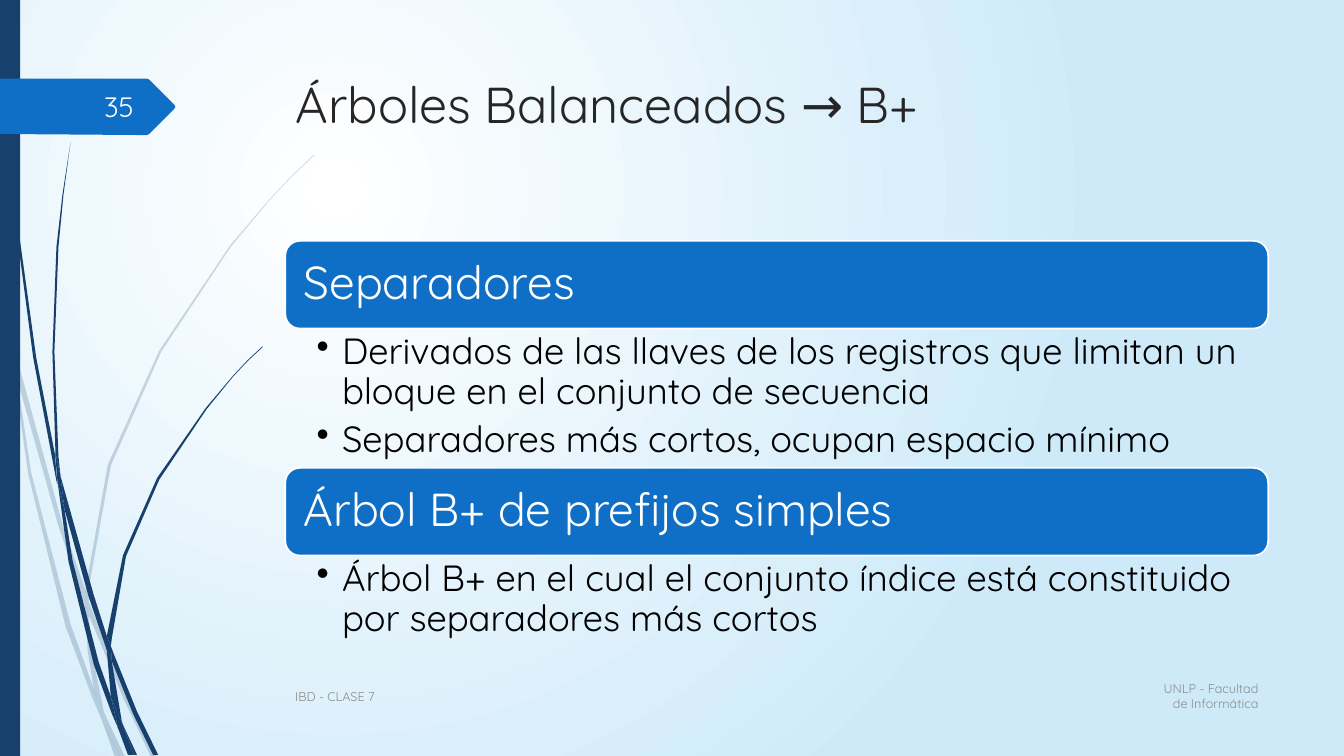
from dataclasses import dataclass

from pptx import Presentation
from pptx.dml.color import RGBColor
from pptx.enum.shapes import MSO_SHAPE
from pptx.enum.text import MSO_ANCHOR, PP_ALIGN
from pptx.oxml import parse_xml
from pptx.oxml.ns import nsdecls, qn
from pptx.oxml.xmlchemy import OxmlElement
from pptx.shapes.autoshape import Shape
from pptx.slide import Slide
from pptx.text.text import TextFrame
from pptx.util import Cm, Pt

FONT = "Quicksand"
NAVY, BLUE, WHITE, BLACK = "17406D", "0F6FC6", "FFFFFF", "000000"
TITLE_INK, FOOTER_INK, NUMBER_INK = "262626", "8C8C8C", "FEFFFF"
GRID = Cm(0.0254)  # outlines are x y pairs in hundredths of an inch

PALE_BLADES = [
    "11 350 9 322 0 282 0 299 10 344",
    "58 522 84 599 85 586 62 520 14 345 17 376",
    "92 607 88 596 88 610 123 694 150 751 155 751 127 692",
    "119 751 124 751 105 711",
    "93 683 70 619 31 469 17 376 11 350 28 470 65 621 92 693 101 714 99 707",
    "84 599 87 646 93 683 96 692 105 711 103 706 91 646 88 610 88 608",
    "88 584 110 462 160 349 229 245 268 198 290 175 312 154 312 153 289 175 268 197 228 244 158 348 "
    "107 461 85 584 85 586 88 596",
    "101 714 114 751 119 751",
    "88 608 88 610 88 596 85 586 84 599",
    "96 692 93 683 99 707 101 714 119 751 105 711",
]
DARK_BLADES = [
    "7 110 17 233 33 355 56 477 57 481 55 457 55 453 36 355 19 232 8 109 5 48 4 0 3 0 4 48",
    "88 592 106 645 106 633 106 631 93 590 60 472 64 505",
    "113 649 110 641 111 656 132 708 152 749 157 749 136 706",
    "110 691 98 657 72 556 64 505 57 477 68 557 93 659 111 708 117 722 116 717",
    "60 472 58 453 54 349 58 245 63 193 70 141 62 193 56 245 52 349 55 449",
    "133 749 136 749 122 719",
    "57 477 64 505 60 472 55 449 55 453",
    "111 633 125 552 158 476 205 406 231 374 245 359 261 344 260 344 245 358 231 373 204 405 156 474 "
    "122 551 106 631 110 641",
    "117 722 127 749 131 749",
    "106 645 110 691 116 706 122 719 121 716 111 656 109 651",
    "106 645 109 651 111 656 110 641 106 631 106 633",
    "116 706 110 691 116 717 117 722 130 749 133 749 122 719",
]
NUMBER_TAG = "173 108 148 133 146 134 136 134 0 133 0 78 146 78 148 79 173 104 174 106"


@dataclass
class Label:
    text: str
    left: float
    top: float
    width: float
    height: float
    size: float
    ink: str
    anchor: MSO_ANCHOR = MSO_ANCHOR.MIDDLE
    align: PP_ALIGN = PP_ALIGN.LEFT


@dataclass
class Section:
    heading: str
    bullets: list[str]
    bullets_height: float


LABELS = [
    Label("Árboles Balanceados → B+", 7.21, 1.73, 24.77, 3.56, 36, TITLE_INK, MSO_ANCHOR.TOP),
    Label("UNLP - Facultad de Informática", 28.78, 17.02, 3.18, 1.04, 9, FOOTER_INK, align=PP_ALIGN.RIGHT),
    Label("IBD - CLASE 7", 7.19, 17.04, 21.16, 1.02, 9, FOOTER_INK),
    Label("35", 1.47, 2.18, 2.16, 1.02, 20, NUMBER_INK, align=PP_ALIGN.RIGHT),
]
SECTIONS = [
    Section("Separadores", [
        "Derivados de las llaves de los registros que limitan un bloque en el conjunto de secuencia",
        "Separadores más cortos, ocupan espacio mínimo"], 3.51),
    Section("Árbol B+ de prefijos simples", [
        "Árbol B+ en el cual el conjunto índice está constituido por separadores más cortos"], 2.29),
]
SECTION_LEFT, SECTION_TOP, SECTION_WIDTH, BAR_HEIGHT = 7.19, 6.07, 24.77, 2.21


def color(code: str) -> RGBColor:
    return RGBColor.from_string(code)


def paint(shape: Shape, fill: str) -> None:
    shape.shadow.inherit = False
    shape.fill.solid()
    shape.fill.fore_color.rgb = color(fill)
    shape.line.fill.background()


def draw_outline(page: Slide, numbers: str, fill: str) -> Shape:
    values = [int(number) for number in numbers.split()]
    corners = list(zip(values[::2], values[1::2]))
    builder = page.shapes.build_freeform(*corners[0], scale=float(GRID))
    builder.add_line_segments(corners[1:], close=True)
    shape = builder.convert_to_shape()
    paint(shape, fill)
    return shape


def write(frame: TextFrame, texts: list[str], size: float, ink: str, align: PP_ALIGN = PP_ALIGN.LEFT,
          spacing: float = 1.0, bulleted: bool = False) -> None:
    frame.word_wrap = True
    for index, text in enumerate(texts):
        para = frame.add_paragraph() if index else frame.paragraphs[0]
        para.alignment = align
        para.line_spacing = spacing
        if bulleted:
            para.level = 1
            para.space_after = Pt(6.5)
            properties = para._p.get_or_add_pPr()
            properties.set("marL", str(Cm(0.64)))
            properties.set("indent", str(-Cm(0.64)))
            bullet = OxmlElement("a:buChar")
            bullet.set("char", "•")
            properties.append(bullet)
        span = para.add_run()
        span.text = text
        span.font.name = FONT
        span.font.size = Pt(size)
        span.font.color.rgb = color(ink)


def draw_label(page: Slide, label: Label) -> None:
    box = page.shapes.add_textbox(Cm(label.left), Cm(label.top), Cm(label.width), Cm(label.height))
    box.text_frame.vertical_anchor = label.anchor
    write(box.text_frame, [label.text], label.size, label.ink, label.align)


def draw_section(page: Slide, section: Section, top: float) -> float:
    left, width = Cm(SECTION_LEFT), Cm(SECTION_WIDTH)
    bar = page.shapes.add_shape(MSO_SHAPE.ROUNDED_RECTANGLE, left, Cm(top), width, Cm(BAR_HEIGHT))
    paint(bar, BLUE)
    bar.line.color.rgb = color(WHITE)
    bar.line.width = Pt(1.25)
    frame = bar.text_frame
    frame.margin_left = frame.margin_right = frame.margin_top = frame.margin_bottom = Cm(0.35)
    frame.vertical_anchor = MSO_ANCHOR.MIDDLE
    write(frame, [section.heading], 33, WHITE, spacing=0.9)

    top += BAR_HEIGHT
    box = page.shapes.add_textbox(left, Cm(top), width, Cm(section.bullets_height))
    box.text_frame.margin_left, box.text_frame.margin_right = Cm(0.79), Cm(0.66)
    write(box.text_frame, section.bullets, 26, BLACK, spacing=0.9, bulleted=True)
    return top + section.bullets_height


def draw_background(page: Slide) -> None:
    page.element.cSld.insert(0, parse_xml(
        f'<p:bg {nsdecls("p", "a")}><p:bgPr><a:gradFill rotWithShape="1"><a:gsLst>'
        '<a:gs pos="0"><a:srgbClr val="FFFFFF"/></a:gs><a:gs pos="100000"><a:srgbClr val="CEEAF9"/></a:gs>'
        '</a:gsLst><a:path path="circle"><a:fillToRect l="50000" t="50000" r="100000" b="100000"/></a:path>'
        '</a:gradFill><a:effectLst/></p:bgPr></p:bg>'))


def main() -> None:
    deck = Presentation()
    deck.slide_width, deck.slide_height = Cm(33.87), Cm(19.05)
    page = deck.slides.add_slide(deck.slide_layouts[6])

    # Background, grass and side band
    draw_background(page)
    for blade in PALE_BLADES:
        shape = draw_outline(page, blade, NAVY)
        alpha = OxmlElement("a:alpha")
        alpha.set("val", "20000")
        shape.element.spPr.find(qn("a:solidFill"))[0].append(alpha)
    for blade in DARK_BLADES:
        draw_outline(page, blade, NAVY)
    paint(page.shapes.add_shape(MSO_SHAPE.RECTANGLE, 0, 0, Cm(0.51), deck.slide_height), NAVY)
    draw_outline(page, NUMBER_TAG, BLUE)

    # Title, footers and page number
    for label in LABELS:
        draw_label(page, label)

    # Stacked sections
    top = SECTION_TOP
    for section in SECTIONS:
        top = draw_section(page, section, top)

    deck.save("out.pptx")


if __name__ == "__main__":
    main()
